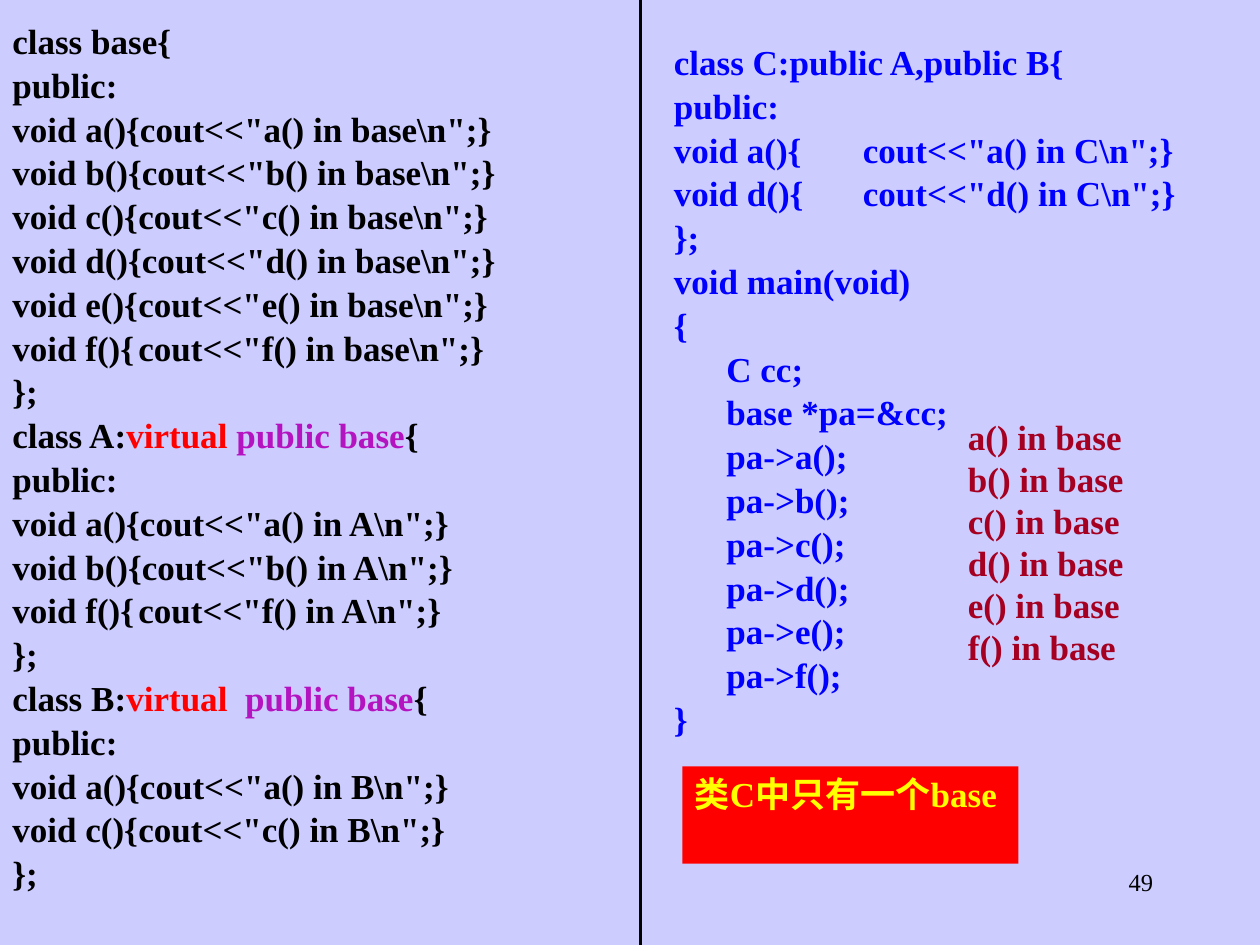
import pptx
import pptx.util
import pptx.dml.color
import pptx.enum.shapes
import pptx.enum.text
import lxml.etree

prs = pptx.Presentation()
prs.slide_width = pptx.util.Inches(10)
prs.slide_height = pptx.util.Inches(7.5)
unit = prs.slide_width / 120
s = prs.slides.add_slide(prs.slide_layouts[6])


def rgb(value):
    return pptx.dml.color.RGBColor.from_string(value)


def add_text(lines, box, color="000000", size=20, bold=True, align="LEFT",
             spacing=None, before=None, fill=None, grow=True):
    x, y, w, h = [round(v * unit) for v in box]
    if fill:
        sp = s.shapes.add_shape(pptx.enum.shapes.MSO_SHAPE.RECTANGLE, x, y, w, h)
        sp.shadow.inherit = False
        sp.fill.solid()
        sp.fill.fore_color.rgb = rgb(fill)
        sp.line.fill.background()
    else:
        sp = s.shapes.add_textbox(x, y, w, h)
    tf = sp.text_frame
    tf.word_wrap = True
    tf.vertical_anchor = pptx.enum.text.MSO_ANCHOR.TOP
    if grow:
        tf.auto_size = pptx.enum.text.MSO_AUTO_SIZE.SHAPE_TO_FIT_TEXT
    for i, line in enumerate(lines):
        p = tf.paragraphs[0] if i == 0 else tf.add_paragraph()
        p.alignment = pptx.enum.text.PP_ALIGN[align]
        if spacing:
            p.line_spacing = spacing
        if before and i:
            p.space_before = pptx.util.Pt(before)
        for text, run_color in [(line, color)] if isinstance(line, str) else line:
            r = p.add_run()
            r.text = text
            r.font.name = "Times New Roman"
            r.font.size = pptx.util.Pt(size)
            r.font.bold = bold
            r.font.color.rgb = rgb(run_color)


s.background.fill.solid()
s.background.fill.fore_color.rgb = rgb("CCCCFF")

black, red, purple = "000000", "FF0000", "B414C0"
base_code = [
    "class base{",
    "public:",
    r'void a(){cout<<"a() in base\n";}',
    r'void b(){cout<<"b() in base\n";}',
    'void c(){\tcout<<"c() in base\\n";}',
    r'void d(){cout<<"d() in base\n";}',
    'void e(){\tcout<<"e() in base\\n";}',
    'void f(){\tcout<<"f() in base\\n";}',
    "};",
    [("class A:", black), ("virtual", red), (" public base", purple), ("{", black)],
    "public:",
    r'void a(){cout<<"a() in A\n";}',
    r'void b(){cout<<"b() in A\n";}',
    'void f(){\tcout<<"f() in A\\n";}',
    "};",
    [("class B:", black), ("virtual ", red), (" public base", purple), ("{", black)],
    "public:",
    r'void a(){cout<<"a() in B\n";}',
    'void c(){\tcout<<"c() in B\\n";}',
    "};",
]
main_code = [
    "class C:public A,public B{",
    "public:",
    'void a(){\tcout<<"a() in C\\n";}',
    'void d(){\tcout<<"d() in C\\n";}',
    "};",
    "void main(void)",
    "{",
    "      C cc;",
    "      base *pa=&cc;",
    *[f"      pa->{name}();" for name in "abcdef"],
    "}",
]

add_text(["49"], (86, 82, 25, 6), size=14, bold=False, align="RIGHT", grow=False)
add_text(base_code, (0, 3, 61, 81), spacing=0.5, before=13)
add_text(main_code, (63, 5, 57, 64.5), color="0000FF", spacing=0.5, before=13)

divider_x = round(61 * unit)
divider = s.shapes.add_connector(pptx.enum.shapes.MSO_CONNECTOR.STRAIGHT,
                                 divider_x, 0, divider_x, prs.slide_height)
divider.line.color.rgb = rgb(black)
divider.line.width = pptx.util.Pt(2.25)
lxml.etree.SubElement(divider._element.spPr, pptx.oxml.ns.qn("a:effectLst"))

add_text(["类C中只有一个base"], (65, 73, 32, 9.25), color="FFFF00", fill=red)
for i, name in enumerate("abcdef"):
    add_text([f"{name}() in base"], (91, 39 + 4 * i, 18, 5.25), color="A50021")

prs.save("out.pptx")
